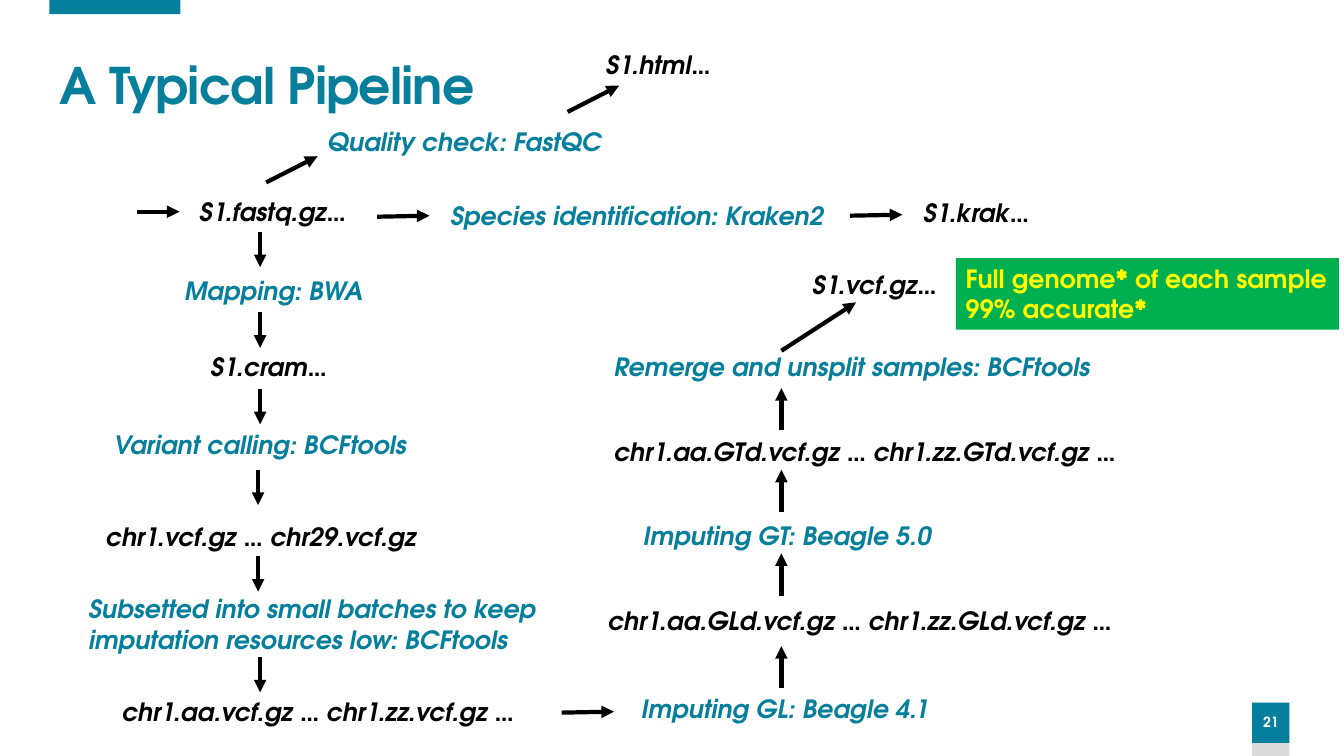
from dataclasses import dataclass

from lxml.etree import SubElement
from pptx import Presentation
from pptx.dml.color import RGBColor
from pptx.enum.shapes import MSO_CONNECTOR, MSO_SHAPE
from pptx.enum.text import MSO_ANCHOR, PP_ALIGN
from pptx.oxml.ns import qn
from pptx.util import Inches, Pt


@dataclass(frozen=True)
class Theme:
    teal: str = "067F9C"
    grey: str = "D9D9D9"
    green: str = "00B050"
    yellow: str = "FFFF00"
    black: str = "000000"
    white: str = "FFFFFF"
    font: str = "TeX Gyre Adventor"
    title_size: int = 36
    label_size: int = 18
    number_size: int = 10
    arrow_width: int = 3


THEME = Theme()
CELL = 0.1  # inches per grid column and grid row
LABEL_ROWS = 4

# text, column, row, columns wide
FILES = [
    ("S1.fastq.gz…", 18.8, 19, 20.5),
    ("S1.html…", 59.1, 4.4, 20.5),
    ("S1.krak…", 90.6, 19.1, 20.5),
    ("S1.cram…", 19.9, 34.4, 15.5),
    ("chr1.vcf.gz … chr29.vcf.gz", 9.5, 51.2, 35),
    ("chr1.aa.vcf.gz … chr1.zz.vcf.gz …", 11.1, 68.6, 44),
    ("chr1.aa.GLd.vcf.gz … chr1.zz.GLd.vcf.gz …", 59.3, 59.6, 55),
    ("chr1.aa.GTd.vcf.gz … chr1.zz.GTd.vcf.gz …", 59.9, 42.8, 55),
    ("S1.vcf.gz…", 79.6, 26.2, 15.2),
]
STEPS = [
    ("Quality check: FastQC", 31.5, 12, 31),
    ("Species identification: Kraken2", 43.7, 19.4, 41),
    ("Mapping: BWA", 17.3, 26.8, 21),
    ("Variant calling: BCFtools", 10.3, 42.1, 33),
    ("Subsetted into small batches to keep imputation resources low: BCFtools", 7.8, 58.4, 49.4),
    ("Imputing GL: Beagle 4.1", 62.6, 68.3, 33.6),
    ("Imputing GT: Beagle 5.0", 62.8, 51.1, 33.6),
    ("Remerge and unsplit samples: BCFtools", 59.9, 34.4, 59.3),
]

# column, row of the tail; columns and rows travelled
DOWN, UP = (0, 3.5), (0, -4.2)
RISE, ACROSS = (5.1, -2.6), (5.2, -0.1)
ARROWS = [
    (13.6, 21, 4.2, 0),
    (26.4, 18.1, *RISE),
    (56.3, 11.1, *RISE),
    (37.4, 21.5, *ACROSS),
    (84.3, 21.4, *ACROSS),
    (55.7, 70.7, *ACROSS),
    *[(25.8, row, *DOWN) for row in (23, 31, 38.6, 65.2)],
    *[(25.6, row, *DOWN) for row in (46.6, 55.2)],
    *[(77.5, row, *UP) for row in (68.3, 59.1, 50.8, 42.7)],
    (77.5, 34.8, 7.4, -4.8),
]


def grid(*cells):
    return [Inches(round(cell * CELL, 2)) for cell in cells]


def color(code):
    return RGBColor.from_string(code)


def apply(target, values):
    for name, value in values.items():
        setattr(target, name, value)


def write(box, lines, ink, size, frame_format=None, para_format=None, **font_format):
    """Fill a shape with one paragraph per line and return its first span."""
    frame = box.text_frame
    apply(frame, {"word_wrap": True, **(frame_format or {})})
    for index, line in enumerate(lines):
        para = frame.add_paragraph() if index else frame.paragraphs[0]
        apply(para, {"alignment": PP_ALIGN.LEFT, **(para_format or {})})
        span = para.add_run()
        span.text = line
        apply(span.font, {"name": THEME.font, "size": Pt(size), "bold": True, **font_format})
        span.font.color.rgb = color(ink)
    return frame.paragraphs[0].runs[0]


def add_block(page, fill, *cells):
    block = page.shapes.add_shape(MSO_SHAPE.RECTANGLE, *grid(*cells))
    block.shadow.inherit = False
    block.fill.solid()
    block.fill.fore_color.rgb = color(fill)
    block.line.fill.background()
    return block


def add_label(page, ink, text, column, row, columns):
    box = page.shapes.add_textbox(*grid(column, row, columns, LABEL_ROWS))
    write(box, [text], ink, THEME.label_size, italic=True)


def add_arrow(page, column, row, columns, rows):
    ends = grid(column, row, column + columns, row + rows)
    arrow = page.shapes.add_connector(MSO_CONNECTOR.STRAIGHT, *ends)
    arrow.line.width = Pt(THEME.arrow_width)
    arrow.line.color.rgb = color(THEME.black)
    properties = arrow.element.spPr
    SubElement(properties.find(qn("a:ln")), qn("a:tailEnd"), type="triangle")
    SubElement(properties, qn("a:effectLst"))


def add_title(page, text):
    box = page.shapes.add_textbox(*grid(4.9, 5.5, 122.2, 6.5))
    span = write(box, [text], THEME.teal, THEME.title_size,
                 {"vertical_anchor": MSO_ANCHOR.MIDDLE}, {"line_spacing": 0.9})
    span.font._element.set("spc", "-60")


def add_page_number(page, number):
    add_block(page, THEME.grey, 124.2, 69.7, 3.7, 5.3)
    badge = add_block(page, THEME.teal, 124.2, 69.7, 3.7, 4)
    write(badge, [number], THEME.white, THEME.number_size,
          {"vertical_anchor": MSO_ANCHOR.MIDDLE, "margin_left": 0, "margin_right": 0},
          {"alignment": PP_ALIGN.CENTER, "line_spacing": 0.9})


def add_result(page, lines):
    banner = add_block(page, THEME.green, 94.8, 25.6, 38, 7.1)
    write(banner, lines, THEME.yellow, THEME.label_size,
          {"word_wrap": False, "vertical_anchor": MSO_ANCHOR.TOP})


def main():
    deck = Presentation()
    apply(deck, {"slide_width": Inches(13.33), "slide_height": Inches(7.5)})
    page = deck.slides.add_slide(deck.slide_layouts[6])
    add_page_number(page, "21")
    add_block(page, THEME.teal, 4.9, 0, 13, 1.4)
    add_title(page, "A Typical Pipeline")
    for ink, labels in ((THEME.black, FILES), (THEME.teal, STEPS)):
        for label in labels:
            add_label(page, ink, *label)
    for arrow in ARROWS:
        add_arrow(page, *arrow)
    add_result(page, ["Full genome* of each sample", "99% accurate*"])
    deck.save("out.pptx")


if __name__ == "__main__":
    main()
